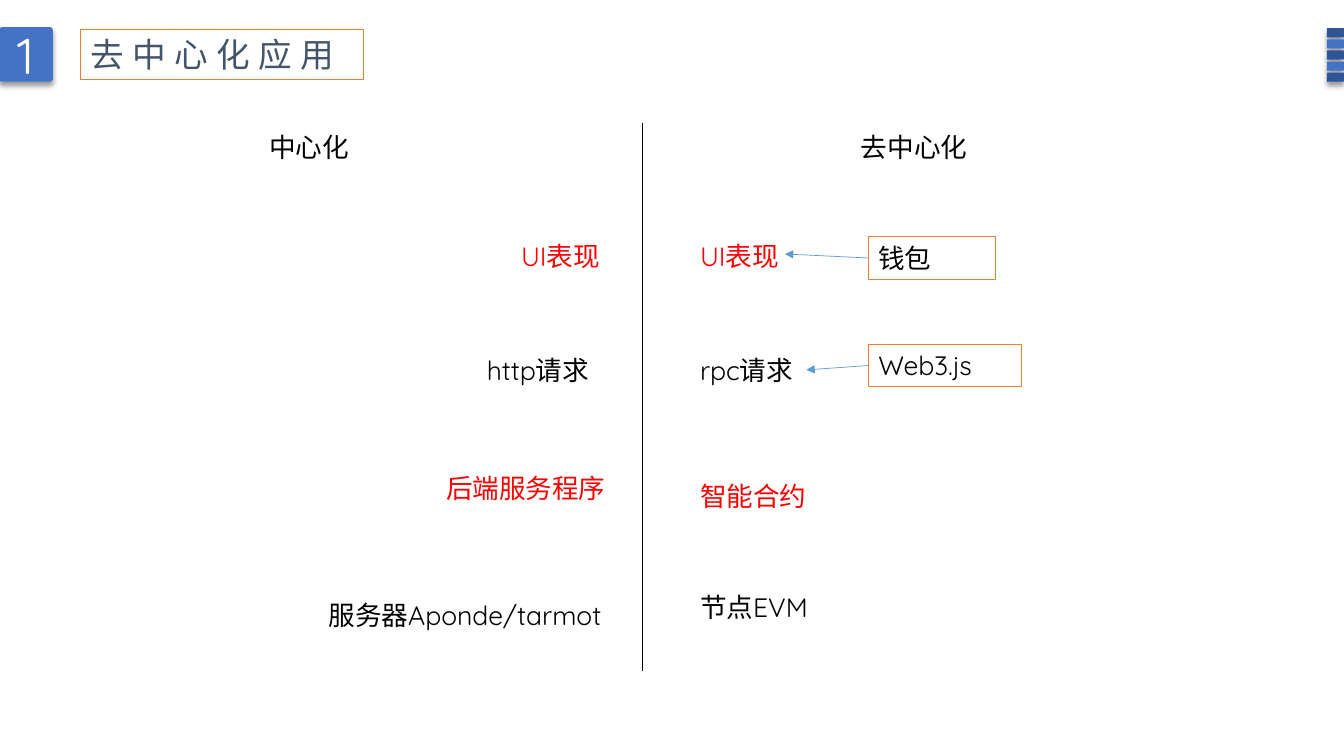
"""Build a slide comparing centralised and decentralised application layers."""
from lxml.etree import SubElement
from pptx import Presentation
from pptx.dml.color import RGBColor
from pptx.enum.shapes import MSO_CONNECTOR as Connector, MSO_SHAPE as Shape
from pptx.enum.text import MSO_ANCHOR as Anchor, PP_ALIGN as Align
from pptx.oxml.ns import qn
from pptx.util import Inches, Pt

WIDTH, HEIGHT = Inches(13.33), Inches(7.5)
LATIN, CJK = "Quicksand", "Noto Sans CJK SC"
COLORS = {
    "blue": "4472C4", "navy": "2F5597", "orange": "ED7D31", "sky": "5B9BD5",
    "slate": "44546A", "black": "000000", "red": "FF0000", "white": "FFFFFF",
}
ROW_HEIGHT = 5.6
RIGHT_COLUMN = 51.35
TOOL_COLUMN = 64.62

LABELS = [
    ("中心化", 19.3, 16.67, 21.08, "black"),
    ("去中心化", 63.32, 16.67, 15, "black"),
    ("UI表现", 38.03, 31.07, 12, "red"),
    ("UI表现", RIGHT_COLUMN, 31.07, 12, "red"),
    ("http请求", 35.48, 46.13, 12, "black"),
    ("rpc请求", RIGHT_COLUMN, 46.13, 10.35, "black"),
    ("后端服务程序", 32.45, 61.73, 15, "red"),
    ("智能合约", RIGHT_COLUMN, 62.8, 17.18, "red"),
    ("服务器Aponde/tarmot", 23.71, 78.53, 28.13, "black"),
    ("节点EVM", RIGHT_COLUMN, 77.53, 20.93, "black"),
]
TOOLS = [
    ("钱包", 31.33, 9.45, (58.4, 33.6)),
    ("Web3.js", 45.55, 11.4, (60, 48.93)),
]


def color(name):
    """Return a named colour."""
    return RGBColor.from_string(COLORS[name])


def place(left, top, width, height):
    """Turn percentages of the slide into lengths."""
    return [round(share * side / 100) for share, side in
            ((left, WIDTH), (top, HEIGHT), (width, WIDTH), (height, HEIGHT))]


def write(holder, words, size, tint, font=LATIN, spacing=0,
          align=Align.LEFT, anchor=Anchor.TOP):
    """Fill a shape with one styled line of text."""
    frame = holder.text_frame
    frame.word_wrap = True
    frame.vertical_anchor = anchor
    frame.text = words
    line = frame.paragraphs[0]
    line.alignment = align
    run = line.runs[0]
    run.font.size = Pt(size)
    run.font.name = font
    run.font.color.rgb = color(tint)
    properties = run.font._element
    SubElement(properties, qn("a:ea")).set("typeface", CJK)
    if spacing:
        properties.set("spc", str(spacing * 100))


def add_tile(slide, area, tint):
    """Add a rounded tile with a soft shadow below it."""
    tile = slide.shapes.add_shape(Shape.ROUNDED_RECTANGLE, *place(*area))
    tile.adjustments[0] = 0.05
    tile.fill.solid()
    tile.fill.fore_color.rgb = color(tint)
    tile.line.fill.background()
    tile.shadow.inherit = False
    effects = tile._element.spPr.find(qn("a:effectLst"))
    shadow = SubElement(effects, qn("a:outerShdw"), blurRad=str(Pt(4)),
                        dist=str(Pt(3)), dir="5400000", rotWithShape="0")
    shade = SubElement(shadow, qn("a:srgbClr"), val=COLORS["black"])
    SubElement(shade, qn("a:alpha"), val="40000")
    return tile


def add_frame(slide, area):
    """Add an unfilled box with an orange outline."""
    box = slide.shapes.add_shape(Shape.RECTANGLE, *place(*area))
    box.fill.background()
    box.line.color.rgb = color("orange")
    box.line.width = Pt(0.75)
    box.shadow.inherit = False
    return box


def add_line(slide, start, end, tint, arrow=False):
    """Add a thin straight line, optionally ending in an arrowhead."""
    line = slide.shapes.add_connector(Connector.STRAIGHT, *place(*start, *end))
    line.line.color.rgb = color(tint)
    line.line.width = Pt(0.5)
    if arrow:
        SubElement(line.line._get_or_add_ln(), qn("a:tailEnd"), type="triangle")
    SubElement(line._element.spPr, qn("a:effectLst"))


def add_header(slide):
    """Add the section number, the title and the stripes at the edge."""
    badge = add_tile(slide, (-0.05, 3.6, 3.98, 7.2), "blue")
    write(badge, "1", 36, "white", align=Align.CENTER, anchor=Anchor.MIDDLE)
    title = add_frame(slide, (6, 3.87, 21.08, 6.67))
    write(title, "去中心化应用", 24, "slate", font=CJK, spacing=6)
    for index in range(5):
        tint = "blue" if index % 2 else "navy"
        add_tile(slide, (98.72, 3.73 + 1.47 * index, 1.28, 1.2), tint)


def add_comparison(slide):
    """Add the two columns of layers and the divider between them."""
    add_line(slide, (47.79, 16.27), (47.79, 88.8), "black")
    for words, left, top, width, tint in LABELS:
        label = slide.shapes.add_textbox(*place(left, top, width, ROW_HEIGHT))
        write(label, words, 19, tint)


def add_tools(slide):
    """Add the framed tools, each pointing at its layer."""
    for words, top, width, target in TOOLS:
        tool = add_frame(slide, (TOOL_COLUMN, top, width, ROW_HEIGHT))
        write(tool, words, 19, "black")
        start = (TOOL_COLUMN, top + ROW_HEIGHT / 2)
        add_line(slide, start, target, "sky", arrow=True)


def main():
    """Build and save the slide."""
    deck = Presentation()
    deck.slide_width, deck.slide_height = WIDTH, HEIGHT
    slide = deck.slides.add_slide(deck.slide_layouts[6])
    add_header(slide)
    add_comparison(slide)
    add_tools(slide)
    deck.save("out.pptx")


main()
